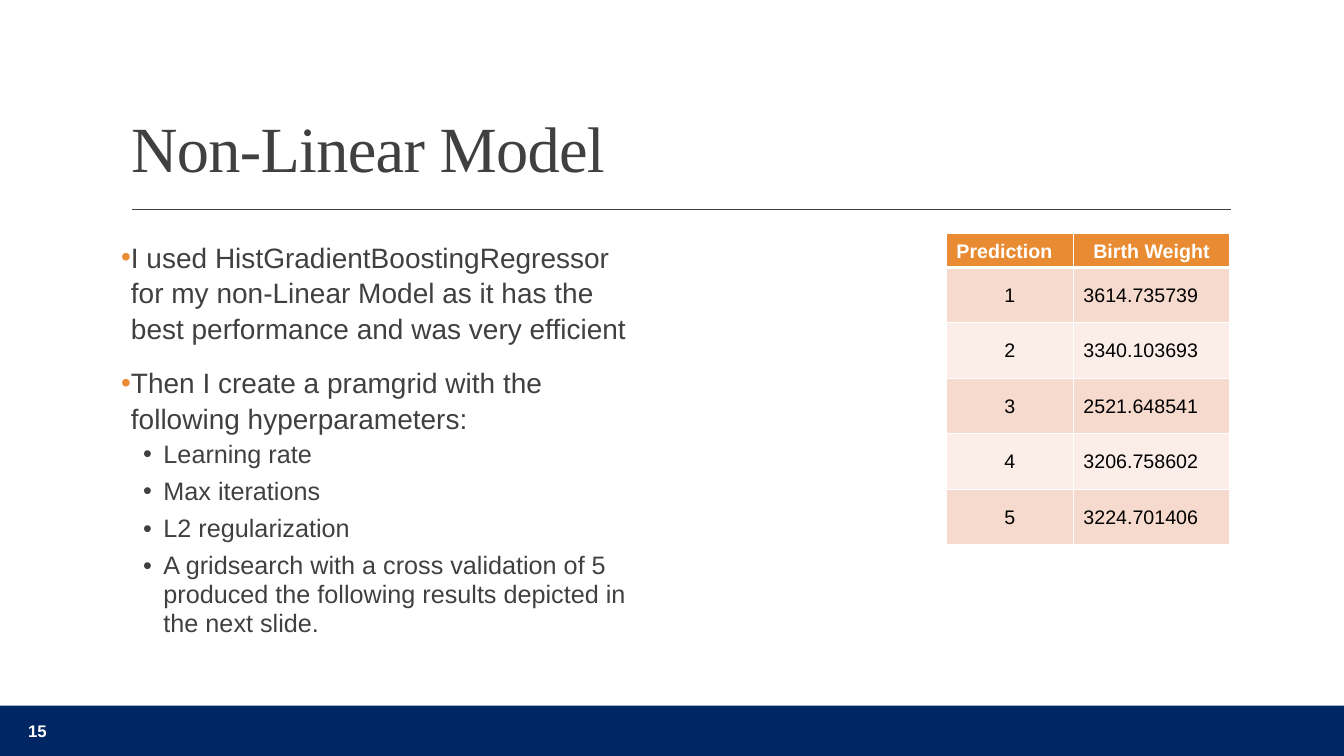
import dataclasses
import typing

import pptx
import pptx.dml.color
import pptx.enum.shapes
import pptx.enum.text
import pptx.oxml
import pptx.oxml.ns
import pptx.oxml.xmlchemy
import pptx.util

Cm = pptx.util.Cm
Pt = pptx.util.Pt
RGBColor = pptx.dml.color.RGBColor
Align = pptx.enum.text.PP_ALIGN
Anchor = pptx.enum.text.MSO_ANCHOR

NAVY = RGBColor(0x00, 0x26, 0x64)
CHARCOAL = RGBColor(0x40, 0x40, 0x40)
ORANGE = RGBColor(0xE8, 0x8B, 0x33)
PEACH = RGBColor(0xF6, 0xDA, 0xCE)
PALE_PEACH = RGBColor(0xFB, 0xEE, 0xE8)
WHITE = RGBColor(0xFF, 0xFF, 0xFF)
BLACK = RGBColor(0x00, 0x00, 0x00)

SLIDE_WIDTH = Cm(33.87)
SLIDE_HEIGHT = Cm(19.05)
FOOTER_HEIGHT = Cm(1.27)
CONTENT_LEFT = Cm(3.05)
CONTENT_TOP = Cm(5.89)


@dataclasses.dataclass(frozen=True)
class Level:
    size: int
    indent: float
    hanging: float
    line_spacing: float
    before: int
    after: int
    bullet_color: RGBColor


@dataclasses.dataclass(frozen=True)
class Point:
    text: str
    depth: int


LEVELS = (
    Level(20, 0.25, 0.25, 1.05, 12, 2, ORANGE),
    Level(18, 1.07, 0.51, 0.95, 2, 4, CHARCOAL),
)
POINTS = (
    Point("I used HistGradientBoostingRegressor for my non-Linear Model "
          "as it has the best performance and was very efficient", 0),
    Point("Then I create a pramgrid with the following hyperparameters:", 0),
    Point("Learning rate", 1),
    Point("Max iterations", 1),
    Point("L2 regularization", 1),
    Point("A gridsearch with a cross validation of 5 produced the following "
          "results depicted in the next slide.", 1),
)
BIRTH_WEIGHTS = ("3614.735739", "3340.103693", "2521.648541",
                 "3206.758602", "3224.701406")


def add_xml(parent: pptx.oxml.xmlchemy.BaseOxmlElement, markup: str) -> None:
    namespace = pptx.oxml.ns.nsdecls("a")
    parent.append(pptx.oxml.parse_xml(markup.replace(" ", f" {namespace} ", 1)))


def write(paragraph: typing.Any, text: str, *, size: float, color: RGBColor,
          font: str = "Arial", bold: bool = False,
          align: Align = Align.LEFT, line_spacing: float = 1.0,
          before: float = 0, after: float = 0, tracking: int = 0) -> None:
    paragraph.alignment = align
    paragraph.line_spacing = line_spacing
    paragraph.space_before = Pt(before)
    paragraph.space_after = Pt(after)
    run = paragraph.add_run()
    run.text = text
    run.font.name = font
    run.font.size = Pt(size)
    run.font.bold = bold
    run.font.color.rgb = color
    if tracking:
        run.font._element.set("spc", str(tracking))


def place(shape: typing.Any, left: int, top: int, width: int, height: int) -> None:
    shape.left, shape.top = left, top
    shape.width, shape.height = width, height


def add_frame_lines(slide: typing.Any) -> None:
    footer = slide.shapes.add_shape(
        pptx.enum.shapes.MSO_SHAPE.RECTANGLE,
        0, SLIDE_HEIGHT - FOOTER_HEIGHT, SLIDE_WIDTH, FOOTER_HEIGHT)
    footer.shadow.inherit = False
    footer.fill.solid()
    footer.fill.fore_color.rgb = NAVY
    footer.line.fill.background()

    title_rule = slide.shapes.add_connector(
        pptx.enum.shapes.MSO_CONNECTOR.STRAIGHT,
        Cm(3.33), Cm(5.28), Cm(31.01), Cm(5.28))
    title_rule.line.color.rgb = CHARCOAL
    title_rule.line.width = Pt(1)
    add_xml(title_rule._element.spPr, "<a:effectLst />")


def add_title(slide: typing.Any) -> None:
    title = slide.shapes.title
    place(title, CONTENT_LEFT, Cm(0.79), Cm(27.94), Cm(4.04))
    title.text_frame.auto_size = pptx.enum.text.MSO_AUTO_SIZE.NONE
    title.text_frame.vertical_anchor = Anchor.BOTTOM
    write(title.text_frame.paragraphs[0], "Non-Linear Model", size=46,
          color=CHARCOAL, font="Times New Roman", line_spacing=0.9, tracking=-50)


def add_points(slide: typing.Any) -> None:
    body = slide.placeholders[1]
    place(body, CONTENT_LEFT, CONTENT_TOP, Cm(12.88), Cm(10.41))
    frame = body.text_frame
    frame.auto_size = pptx.enum.text.MSO_AUTO_SIZE.NONE
    frame.margin_left = frame.margin_right = 0
    for index, point in enumerate(POINTS):
        level = LEVELS[point.depth]
        paragraph = frame.add_paragraph() if index else frame.paragraphs[0]
        paragraph.level = point.depth
        properties = paragraph._p.get_or_add_pPr()
        properties.set("marL", str(Cm(level.indent)))
        properties.set("indent", str(-Cm(level.hanging)))
        add_xml(properties, f'<a:buClr ><a:srgbClr val="{level.bullet_color}"/></a:buClr>')
        add_xml(properties, '<a:buFont typeface="Arial"/>')
        add_xml(properties, '<a:buChar char="•"/>')
        write(paragraph, point.text, size=level.size, color=CHARCOAL,
              line_spacing=level.line_spacing,
              before=level.before if index else 0, after=level.after)


def add_page_number(slide: typing.Any) -> None:
    page_number = slide.shapes.add_textbox(Cm(0.46), Cm(17.91), Cm(2.16), Cm(1.02))
    page_number.text_frame.word_wrap = True
    page_number.text_frame.vertical_anchor = Anchor.MIDDLE
    write(page_number.text_frame.paragraphs[0], "15", size=12, color=WHITE, bold=True)


def format_cell(cell: typing.Any, fill: RGBColor, top: int, bottom: int) -> None:
    properties = cell._tc.get_or_add_tcPr()
    for side, width in (("L", 1), ("R", 1), ("T", top), ("B", bottom)):
        add_xml(properties, f'<a:ln{side} w="{Pt(width)}"><a:solidFill>'
                            f'<a:srgbClr val="{WHITE}"/></a:solidFill></a:ln{side}>')
    cell.fill.solid()
    cell.fill.fore_color.rgb = fill


def add_predictions(slide: typing.Any) -> None:
    rows = [("Prediction", "Birth Weight")]
    rows += [(str(number), weight) for number, weight in enumerate(BIRTH_WEIGHTS, 1)]
    predictions = slide.shapes.add_table(
        len(rows), 2, Cm(23.85), CONTENT_TOP, Cm(7.14), Cm(7.51)).table
    for column, width in zip(predictions.columns, (3.2, 3.94)):
        column.width = Cm(width)
    for row_index, values in enumerate(rows):
        header = row_index == 0
        predictions.rows[row_index].height = Cm(0.81 if header else 1.34)
        fill = ORANGE if header else PEACH if row_index % 2 else PALE_PEACH
        for column_index, value in enumerate(values):
            cell = predictions.cell(row_index, column_index)
            format_cell(cell, fill, top=3 if row_index == 1 else 1,
                        bottom=3 if header else 1)
            cell.vertical_anchor = Anchor.BOTTOM if header else Anchor.MIDDLE
            if not header:
                cell.margin_bottom = Cm(0.38)
            centered = header == (column_index == 1)
            write(cell.text_frame.paragraphs[0], value, size=14,
                  color=WHITE if header else BLACK, bold=header,
                  align=Align.CENTER if centered else Align.LEFT,
                  line_spacing=1.0 if header else 1.5)


def main() -> None:
    presentation = pptx.Presentation()
    presentation.slide_width = SLIDE_WIDTH
    presentation.slide_height = SLIDE_HEIGHT
    slide = presentation.slides.add_slide(presentation.slide_layouts[1])
    add_frame_lines(slide)
    add_title(slide)
    add_points(slide)
    add_page_number(slide)
    add_predictions(slide)
    presentation.save("out.pptx")


if __name__ == "__main__":
    main()
